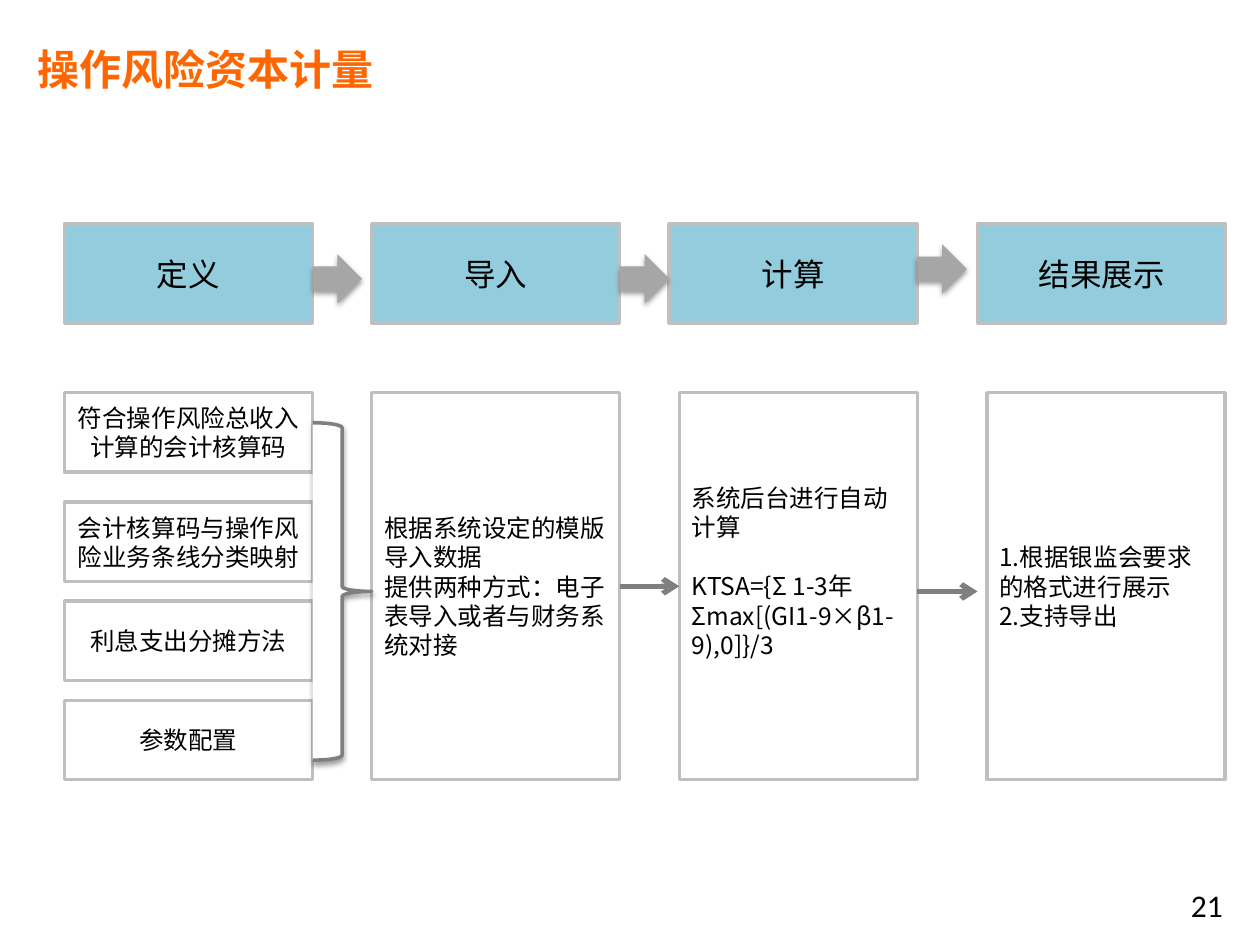
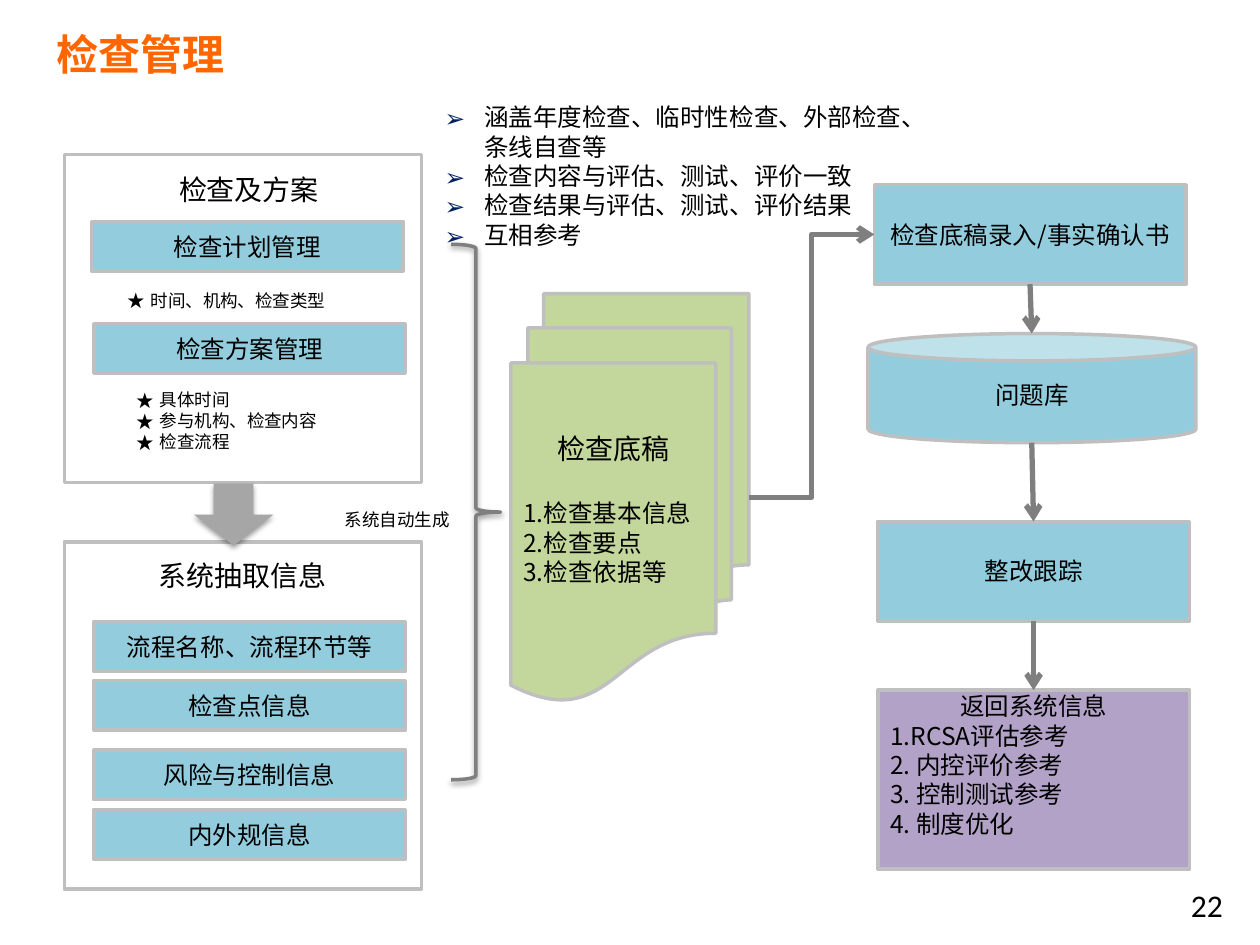
from dataclasses import dataclass
from typing import Optional

import lxml.etree
import pptx
import pptx.dml.color
import pptx.enum.shapes
import pptx.enum.text
import pptx.oxml.ns
import pptx.util

Pt = pptx.util.Pt
RGBColor = pptx.dml.color.RGBColor
Shape = pptx.enum.shapes.MSO_SHAPE
Connector = pptx.enum.shapes.MSO_CONNECTOR
Align = pptx.enum.text.PP_ALIGN
Anchor = pptx.enum.text.MSO_ANCHOR
qn = pptx.oxml.ns.qn

ORANGE = RGBColor(0xFF, 0x66, 0x00)
BLACK = RGBColor(0x00, 0x00, 0x00)
WHITE = RGBColor(0xFF, 0xFF, 0xFF)
NAVY = RGBColor(0x00, 0x20, 0x60)
BLUE = RGBColor(0x93, 0xCD, 0xDD)
GREEN = RGBColor(0xC3, 0xD6, 0x9B)
PURPLE = RGBColor(0xB3, 0xA2, 0xC7)
BORDER = RGBColor(0xBF, 0xBF, 0xBF)
ARROW_GRAY = RGBColor(0xA6, 0xA6, 0xA6)
LINE_GRAY = RGBColor(0x7F, 0x7F, 0x7F)

CJK_FONT = "Noto Sans CJK SC"
NUMBER_FONT = "Calibri"
BODY_LINE = 17  # height of one 14 pt line


@dataclass(frozen=True)
class Bullet:
    character: str
    color: RGBColor
    indent: float


STAR = Bullet("★", BLACK, 13.5)
CHEVRON = Bullet("➢", NAVY, 22.5)


@dataclass(frozen=True)
class Line:
    text: str
    size: float = 14
    align: Align = Align.LEFT
    space_before: float = 0
    bullet: Optional[Bullet] = None
    color: RGBColor = BLACK
    bold: bool = False
    font: str = CJK_FONT


@dataclass(frozen=True)
class Area:
    left: float
    top: float
    width: float
    height: float

    def lengths(self) -> tuple:
        return Pt(self.left), Pt(self.top), Pt(self.width), Pt(self.height)


@dataclass(frozen=True)
class Box:
    area: Area
    lines: tuple = ()
    fill: Optional[RGBColor] = BLUE
    kind: Shape = Shape.RECTANGLE
    space_below: float = 0


def centered(text: str, size: float = 14) -> Line:
    return Line(text, size, Align.CENTER)


def add_bullet(paragraph, bullet: Bullet) -> None:
    properties = paragraph._p.get_or_add_pPr()
    properties.set("marL", str(Pt(bullet.indent)))
    properties.set("indent", str(-Pt(bullet.indent)))
    color = lxml.etree.SubElement(properties, qn("a:buClr"))
    lxml.etree.SubElement(color, qn("a:srgbClr"), val=str(bullet.color))
    lxml.etree.SubElement(properties, qn("a:buFont"), typeface=CJK_FONT)
    lxml.etree.SubElement(properties, qn("a:buChar"), char=bullet.character)


def write_lines(frame, lines: tuple, anchor: Anchor) -> None:
    frame.word_wrap = True
    frame.vertical_anchor = anchor
    for index, line in enumerate(lines):
        paragraph = frame.add_paragraph() if index else frame.paragraphs[0]
        paragraph.alignment = line.align
        if line.space_before:
            paragraph.space_before = Pt(line.space_before)
        if line.bullet:
            add_bullet(paragraph, line.bullet)
        run = paragraph.add_run()
        run.text = line.text
        run.font.size = Pt(line.size)
        run.font.bold = line.bold
        run.font.color.rgb = line.color
        run.font.name = line.font
        lxml.etree.SubElement(run._r.get_or_add_rPr(), qn("a:ea"), typeface=line.font)


def add_text(slide, area: Area, *lines: Line) -> None:
    write_lines(slide.shapes.add_textbox(*area.lengths()).text_frame, lines, Anchor.TOP)


def add_plain_shape(slide, kind: Shape, area: Area, fill: Optional[RGBColor], outline: Optional[RGBColor]):
    shape = slide.shapes.add_shape(kind, *area.lengths())
    shape.shadow.inherit = False
    if fill is None:
        shape.fill.background()
    else:
        shape.fill.solid()
        shape.fill.fore_color.rgb = fill
    if outline is None:
        shape.line.fill.background()
    else:
        shape.line.color.rgb = outline
        shape.line.width = Pt(2)
    return shape


def add_box(slide, box: Box) -> None:
    shape = add_plain_shape(slide, box.kind, box.area, box.fill, BORDER)
    shape.text_frame.margin_bottom = Pt(3.6 + box.space_below)
    write_lines(shape.text_frame, box.lines, Anchor.MIDDLE)


def add_shadowed(slide, kind: Shape, area: Area, fill: Optional[RGBColor] = ARROW_GRAY,
                 outline: Optional[RGBColor] = None) -> None:
    """Draw a block arrow or brace with a soft shadow straight below it."""
    shape = add_plain_shape(slide, kind, area, fill, outline)
    effects = shape._element.spPr.find(qn("a:effectLst"))
    shadow = lxml.etree.SubElement(
        effects, qn("a:outerShdw"), blurRad=str(Pt(3.1)), dist=str(Pt(1.6)),
        dir="5400000", rotWithShape="0")
    color = lxml.etree.SubElement(shadow, qn("a:srgbClr"), val=str(BLACK))
    lxml.etree.SubElement(color, qn("a:alpha"), val="38000")


def add_arrow(slide, start: tuple, end: tuple, kind: Connector = Connector.STRAIGHT) -> None:
    connector = slide.shapes.add_connector(kind, *(Pt(value) for value in start + end))
    connector.line.color.rgb = LINE_GRAY
    connector.line.width = Pt(3)
    lxml.etree.SubElement(connector.line._get_or_add_ln(), qn("a:tailEnd"), type="arrow")
    lxml.etree.SubElement(connector._element.spPr, qn("a:effectLst"))


def add_slide(presentation, title: str, title_area: Area, number: int):
    slide = presentation.slides.add_slide(presentation.slide_layouts[6])
    add_text(slide, title_area, Line(title, 24, color=ORANGE, bold=True))
    add_text(slide, Area(537.8, 502.6, 168, 37.4),
             Line(str(number), 18, Align.RIGHT, font=NUMBER_FONT))
    return slide


def build_capital_slide(presentation) -> None:
    slide = add_slide(presentation, "操作风险资本计量", Area(14.4, 21.6, 508.3, 36), 21)
    step_width = 141.8
    first_left, second_left = 36.8, 212.4
    steps = ((first_left, "定义"), (second_left, "导入"), (382.4, "计算"), (558.6, "结果展示"))
    for left, name in steps:
        add_box(slide, Box(Area(left, 128, step_width, 56.8), (centered(name, 18),)))
    for (left, _), top in zip(steps, (145.2, 145.2, 139.6)):
        add_shadowed(slide, Shape.RIGHT_ARROW, Area(left + step_width, top, 28.3, 28.3))

    definitions = (
        (224.4, "符合操作风险总收入计算的会计核算码"),
        (287, "会计核算码与操作风险业务条线分类映射"),
        (343.6, "利息支出分摊方法"),
        (400.2, "参数配置"),
    )
    for top, text in definitions:
        add_box(slide, Box(Area(first_left, top, step_width, 45.4), (centered(text),), WHITE))

    detail_top, detail_height = 224.4, 221.2
    details = (
        (second_left, step_width, 0, (
            Line("根据系统设定的模版导入数据"),
            Line("提供两种方式：电子表导入或者与财务系统对接"))),
        (388.2, 136, BODY_LINE, (
            Line("系统后台进行自动计算"),
            Line("KTSA={Σ 1-3年Σmax[(GI1-9×β1-9),0]}/3", space_before=BODY_LINE))),
        (564, 136, 0, (Line("1.根据银监会要求的格式进行展示"), Line("2.支持导出"))),
    )
    for left, width, space_below, lines in details:
        area = Area(left, detail_top, width, detail_height)
        add_box(slide, Box(area, lines, WHITE, space_below=space_below))

    add_shadowed(slide, Shape.RIGHT_BRACE, Area(178.6, 241.6, 33.8, 192.8), WHITE, LINE_GRAY)
    add_arrow(slide, (354.2, 335), (388.2, 335))
    add_arrow(slide, (524.2, 338), (558.6, 338))


def build_inspection_slide(presentation) -> None:
    slide = add_slide(presentation, "检查管理", Area(25.2, 13, 362.9, 38.9), 22)
    for top, height in ((88.4, 187.4), (309.6, 198.6)):
        add_box(slide, Box(Area(36.8, top, 204, height), fill=None))

    item_width, item_height = 178.2, 28.4
    items = (
        (52.2, 126.6, "检查计划管理"),
        (53.6, 185, "检查方案管理"),
        (53.6, 355.2, "流程名称、流程环节等"),
        (53.6, 388.8, "检查点信息"),
        (53.6, 428.6, "风险与控制信息"),
        (53.6, 462.6, "内外规信息"),
    )
    for left, top, text in items:
        add_box(slide, Box(Area(left, top, item_width, item_height), (centered(text),)))

    add_text(slide, Area(93.6, 95, 97.2, 26.6), centered("检查及方案", 16))
    add_text(slide, Area(70.6, 315.4, 136, 26.6), centered("系统抽取信息", 16))
    add_text(slide, Area(65.6, 162, 153.4, 19.4), Line("时间、机构、检查类型", 10, bullet=STAR))
    add_text(slide, Area(70.8, 218.8, 153.4, 44),
             *(Line(text, 10, bullet=STAR) for text in ("具体时间", "参与机构、检查内容", "检查流程")))
    add_text(slide, Area(190, 287.2, 79.2, 19.4), Line("系统自动生成", 10))
    add_shadowed(slide, Shape.DOWN_ARROW, Area(110.8, 276.4, 45.4, 35.4))
    add_shadowed(slide, Shape.RIGHT_BRACE, Area(257.8, 139.6, 28.3, 306), None, LINE_GRAY)

    draft = (centered("检查底稿", 16), Line("1.检查基本信息", space_before=19),
             Line("2.检查要点"), Line("3.检查依据等"))
    returned = (centered("返回系统信息"), Line("1.RCSA评估参考"), Line("2. 内控评价参考"),
                Line("3. 控制测试参考"), Line("4. 制度优化"))
    workflow = (
        Box(Area(292, 167.8, 136, 232.6), draft, GREEN, Shape.FLOWCHART_MULTIDOCUMENT, BODY_LINE),
        Box(Area(499.6, 105.6, 178.2, 56.8), (centered("检查底稿录入/事实确认书"),)),
        Box(Area(496, 190.6, 187.4, 62.4), (centered("问题库"),), kind=Shape.CAN),
        Box(Area(501.6, 298, 178.2, 56.8), (centered("整改跟踪"),)),
        Box(Area(501.6, 394.4, 178.2, 102.2), returned, PURPLE, space_below=BODY_LINE),
    )
    for box in workflow:
        add_box(slide, box)

    add_arrow(slide, (428, 284.2), (499.6, 134), Connector.ELBOW)
    add_arrow(slide, (588.6, 162.4), (589.6, 190.6))
    add_arrow(slide, (589.6, 253), (590.6, 298))
    add_arrow(slide, (590.6, 354.8), (590.6, 394.4))

    features = ("涵盖年度检查、临时性检查、外部检查、条线自查等", "检查内容与评估、测试、评价一致",
                "检查结果与评估、测试、评价结果", "互相参考")
    add_text(slide, Area(247, 54.8, 289.4, 126), *(Line(text, bullet=CHEVRON) for text in features))


def main() -> None:
    presentation = pptx.Presentation()
    presentation.slide_width = Pt(720)
    presentation.slide_height = Pt(540)
    build_capital_slide(presentation)
    build_inspection_slide(presentation)
    presentation.save("out.pptx")


if __name__ == "__main__":
    main()
